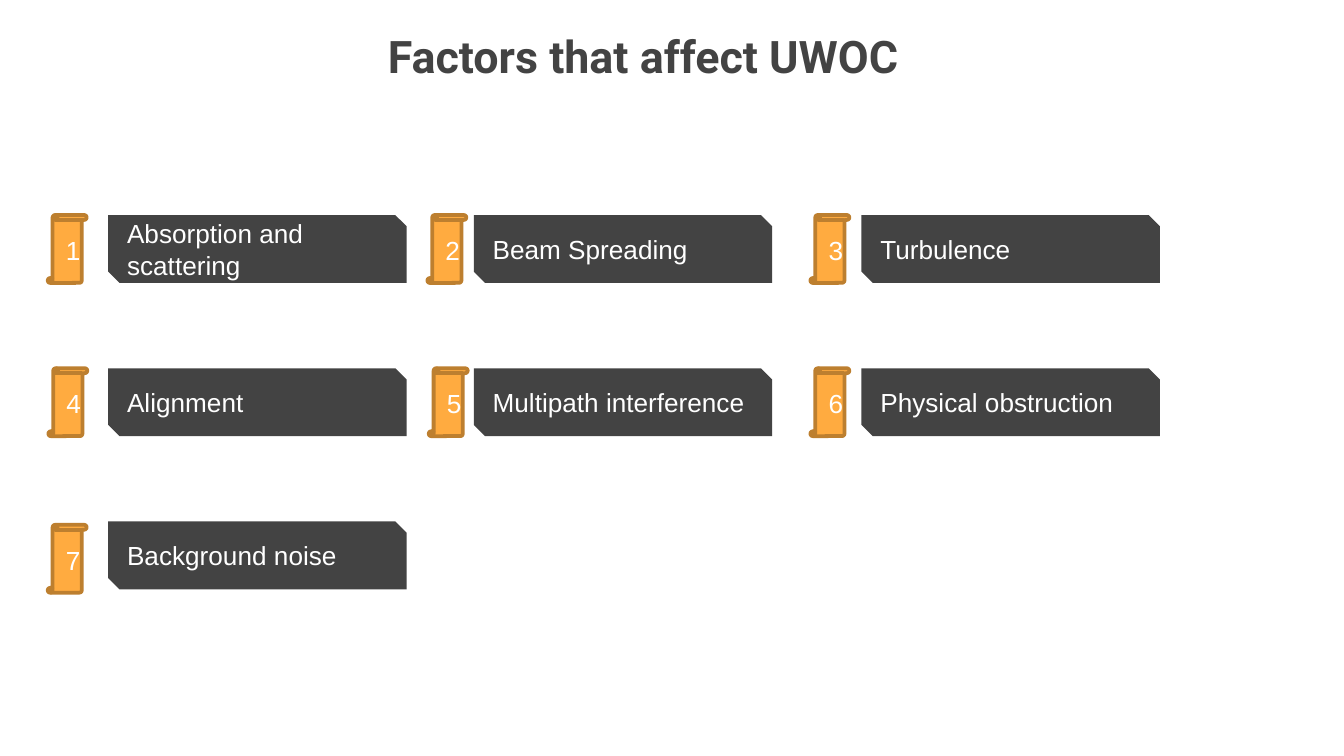
from dataclasses import dataclass

from pptx import Presentation
from pptx import util as u
from pptx.dml import color
from pptx.enum import shapes, text

PX = 4572


@dataclass(frozen=True)
class Theme:
    dark: str = "434343"
    white: str = "FFFFFF"
    amber: str = "FFAB40"
    bronze: str = "BD7F2F"
    heading_font: str = "Roboto"
    body_font: str = "Arial"
    heading_size: int = 24
    body_size: int = 14
    border: int = 2


def rgb(value):
    return color.RGBColor.from_string(value)


def write(box, words, *, font, size, ink, bold=False,
          align=text.PP_ALIGN.LEFT, anchor=text.MSO_ANCHOR.MIDDLE, inset_y=20):
    frame = box.text_frame
    frame.word_wrap = True
    frame.vertical_anchor = anchor
    frame.margin_left = frame.margin_right = 20 * PX
    frame.margin_top = frame.margin_bottom = inset_y * PX
    para = frame.paragraphs[0]
    para.alignment = align
    span = para.add_run()
    span.text = words
    span.font.name = font
    span.font.size = u.Pt(size)
    span.font.bold = bold
    span.font.color.rgb = rgb(ink)


class Painter:
    def __init__(self, page, theme):
        self.page = page
        self.theme = theme

    def title(self, words, *bounds):
        box = self.page.shapes.add_textbox(*(n * PX for n in bounds))
        write(box, words, font=self.theme.heading_font, size=self.theme.heading_size,
              ink=self.theme.dark, bold=True, align=text.PP_ALIGN.CENTER,
              anchor=text.MSO_ANCHOR.TOP)

    def panel(self, kind, fill, words, bounds, **style):
        shape = self.page.shapes.add_shape(kind, *(n * PX for n in bounds))
        shape.shadow.inherit = False
        shape.fill.solid()
        shape.fill.fore_color.rgb = rgb(fill)
        shape.line.fill.background()
        write(shape, words, font=self.theme.body_font, size=self.theme.body_size,
              ink=self.theme.white, **style)
        return shape

    def card(self, words, *bounds):
        self.panel(shapes.MSO_SHAPE.SNIP_2_DIAG_RECTANGLE, self.theme.dark, words, bounds)

    def scroll(self, words, *bounds):
        shape = self.panel(shapes.MSO_SHAPE.VERTICAL_SCROLL, self.theme.amber, words,
                           bounds, align=text.PP_ALIGN.CENTER, inset_y=10)
        shape.line.color.rgb = rgb(self.theme.bronze)
        shape.line.width = u.Pt(self.theme.border)


FACTORS = [
    "Absorption and scattering", "Beam Spreading", "Turbulence",
    "Alignment", "Multipath interference", "Physical obstruction",
    "Background noise",
]
CARD_LEFTS = [161, 705, 1282]
SCROLL_LEFTS = [[71, 636, 1206], [72, 638, 1206], [71]]
CARD_TOP, ROW_STEP = 320, 228
SCROLL_TOPS = [320, 548, 781]


def main():
    deck = Presentation()
    deck.slide_width = 2000 * PX
    deck.slide_height = 1125 * PX
    page = deck.slides.add_slide(deck.slide_layouts[6])
    painter = Painter(page, Theme())
    painter.title("Factors that affect UWOC", 129, 23, 1656, 206)
    for index, factor in enumerate(FACTORS):
        row, column = divmod(index, len(CARD_LEFTS))
        painter.card(factor, CARD_LEFTS[column], CARD_TOP + row * ROW_STEP, 444, 101)
    for index in range(len(FACTORS)):
        row, column = divmod(index, len(CARD_LEFTS))
        painter.scroll(str(index + 1), SCROLL_LEFTS[row][column], SCROLL_TOPS[row], 58, 101)
    deck.save("out.pptx")


if __name__ == "__main__":
    main()
